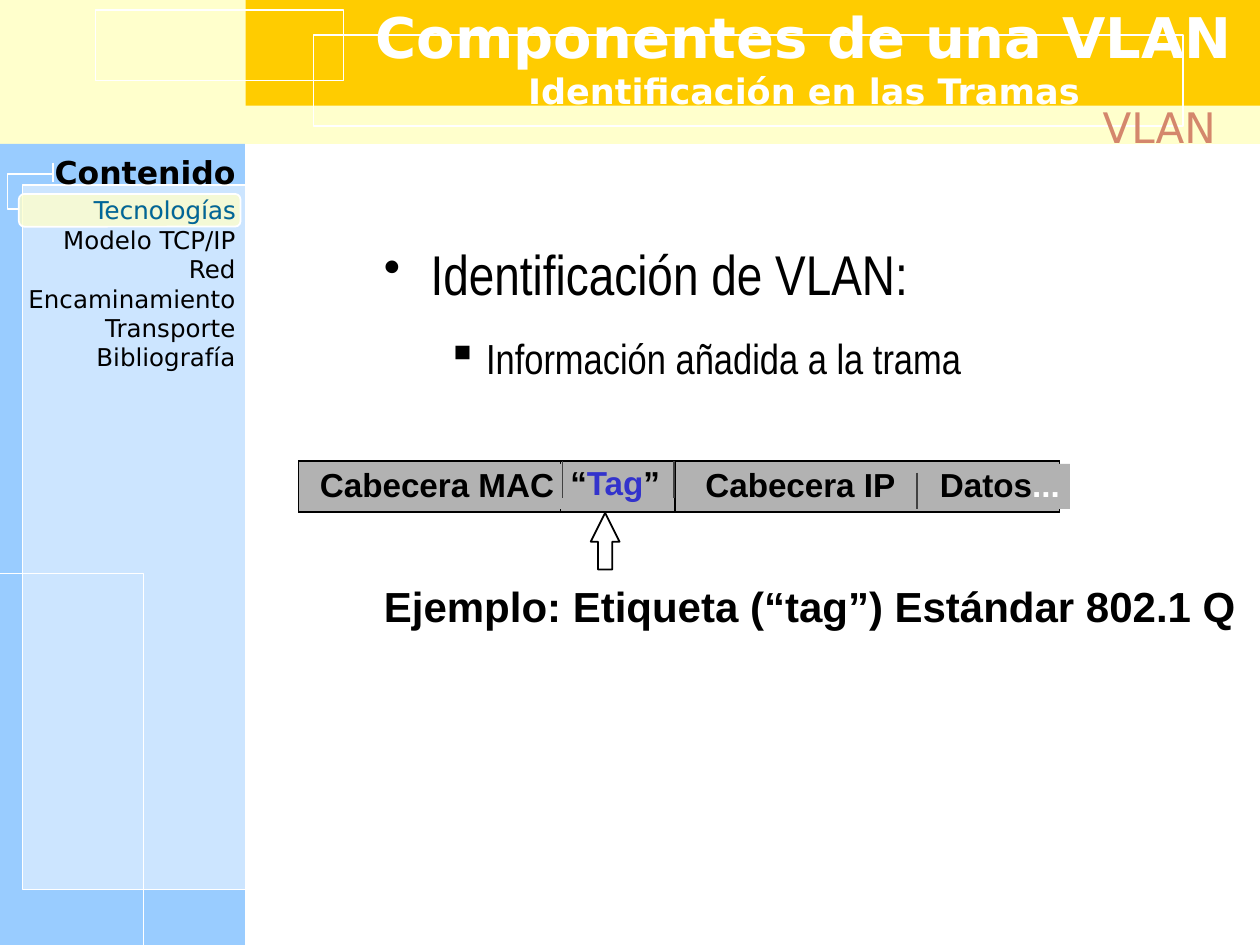
"""Build the slide on VLAN components and frame identification."""
from lxml import etree
from pptx import Presentation
from pptx.dml.color import RGBColor
from pptx.enum.shapes import MSO_CONNECTOR, MSO_SHAPE
from pptx.enum.text import MSO_ANCHOR, MSO_AUTO_SIZE, PP_ALIGN
from pptx.oxml.ns import qn
from pptx.util import Cm, Pt

RECT, ROUNDED, ARROW = MSO_SHAPE.RECTANGLE, MSO_SHAPE.ROUNDED_RECTANGLE, MSO_SHAPE.UP_ARROW
STRAIGHT = MSO_CONNECTOR.STRAIGHT
LEFT, CENTER, RIGHT = PP_ALIGN.LEFT, PP_ALIGN.CENTER, PP_ALIGN.RIGHT
TOP, BOTTOM = MSO_ANCHOR.TOP, MSO_ANCHOR.BOTTOM
GROW, FIXED = MSO_AUTO_SIZE.SHAPE_TO_FIT_TEXT, MSO_AUTO_SIZE.NONE

WHITE = RGBColor(0xFF, 0xFF, 0xFF)
BLACK = RGBColor(0x00, 0x00, 0x00)
CREAM = RGBColor(0xFF, 0xFF, 0xCC)
GOLD = RGBColor(0xFF, 0xCC, 0x00)
SKY = RGBColor(0x99, 0xCC, 0xFF)
GRAY = RGBColor(0xB2, 0xB2, 0xB2)
DARK = RGBColor(0x41, 0x41, 0x41)
BLUE = RGBColor(0x33, 0x33, 0xCC)
TEAL = RGBColor(0x00, 0x66, 0x99)
CORAL = RGBColor(0xD4, 0x87, 0x6C)

FONTS = {
    "title": {"name": "DejaVu Sans", "size": Pt(32), "bold": True},
    "subtitle": {"name": "DejaVu Sans", "size": Pt(20), "bold": True},
    "heading": {"name": "DejaVu Sans", "size": Pt(18), "bold": True},
    "menu": {"name": "DejaVu Sans", "size": Pt(14), "bold": False},
    "topic": {"name": "DejaVu Sans", "size": Pt(24), "bold": False},
    "point": {"name": "Arial Narrow", "size": Pt(32), "bold": False},
    "subpoint": {"name": "Arial Narrow", "size": Pt(24), "bold": False},
    "field": {"name": "Arial", "size": Pt(19), "bold": True},
    "example": {"name": "Arial", "size": Pt(24), "bold": True},
}

PANELS = [
    ((0, 0, 25.4, 2.9), CREAM, None, 0, 100),
    ((4.95, 0, 20.45, 2.13), GOLD, None, 0, 100),
    ((6.32, 0.71, 17.53, 1.83), None, WHITE, 1, 100),
    ((1.93, 0.2, 5, 1.42), None, WHITE, 0.75, 100),
    ((0, 2.9, 4.94, 16.15), SKY, None, 0, 100),
    ((-0.05, 11.56, 2.95, 7.52), None, WHITE, 0.75, 100),
    ((0.46, 3.73, 4.5, 14.2), WHITE, WHITE, 0.75, 50),
]
MENU = ["Tecnologías", "Modelo TCP/IP", "Red", "Encaminamiento", "Transporte", "Bibliografía"]
TITLE = [("Componentes de una VLAN", "title"), ("Identificación en las Tramas", "subtitle")]
POINTS = [
    ("Identificación de VLAN:", "point", "•", 87, 0, 0.94, -0.94, 0),
    ("Información añadida a la trama", "subpoint", "▪", 100, 1, 2.06, -0.79, 15),
]
FRAME_TOP, FRAME_HEIGHT, FIELD_HEIGHT, DIVIDER = 9.3, 1.02, 0.91, 0.73
FRAME_PARTS = [
    ("cell", 6.02, 15.34),
    ("divider", 15.04, 0),
    ("divider", 9.7, 0),
    ("field", 11.3, 2.26, 0.02, [("“", BLACK), ("Tag", BLUE), ("”", BLACK)]),
    ("cell", 6.02, 5.28),
    ("field", 6.25, 5.13, 0.05, [("Cabecera MAC", BLACK)]),
    ("cell", 13.61, 7.75),
    ("field", 14.02, 4.24, 0.05, [("Cabecera IP", BLACK)]),
    ("divider", 11.34, 0),
    ("divider", 13.59, 0),
    ("divider", 18.49, 0.23),
    ("field", 18.75, 2.82, 0.05, [("Datos", BLACK), ("...", WHITE)]),
]
HOOK = [(1.07, 3.51), (0.15, 3.51), (0.15, 4.22), (0.36, 4.22)]

deck = Presentation()
deck.slide_width, deck.slide_height = Cm(25.4), Cm(19.05)
page = deck.slides.add_slide(deck.slide_layouts[6])


def paint(box, fill=None, line=None, width=1, opacity=100):
    box.shadow.inherit = False
    if fill is None:
        box.fill.background()
    else:
        box.fill.solid()
        box.fill.fore_color.rgb = fill
        if opacity < 100:
            color = box.fill._xPr.find(".//" + qn("a:srgbClr"))
            etree.SubElement(color, qn("a:alpha"), val=str(opacity * 1000))
    if line is None:
        box.line.fill.background()
    else:
        box.line.color.rgb = line
        box.line.width = Pt(width)


def add_block(place, fill=None, line=None, width=1, opacity=100, kind=RECT, adjust=()):
    box = page.shapes.add_shape(kind, *map(Cm, place))
    paint(box, fill, line, width, opacity)
    for index, value in enumerate(adjust):
        box.adjustments[index] = value
    return box


def add_rule(left, top, length, color, width):
    rule = page.shapes.add_connector(STRAIGHT, Cm(left), Cm(top), Cm(left), Cm(top + length))
    rule.line.color.rgb, rule.line.width = color, Pt(width)
    etree.SubElement(rule._element.spPr, qn("a:effectLst"))


def set_frame(box, margins=(0.25, 0.13, 0.25, 0.13), wrap=True, anchor=TOP, size=FIXED):
    frame = box.text_frame
    sides = ("margin_left", "margin_top", "margin_right", "margin_bottom")
    values = dict(zip(sides, map(Cm, margins)))
    values.update(word_wrap=wrap, vertical_anchor=anchor, auto_size=size)
    for name, value in values.items():
        setattr(frame, name, value)
    return frame


def add_span(para, text, font, color):
    span = para.add_run()
    span.text = text
    for name, value in FONTS[font].items():
        setattr(span.font, name, value)
    span.font.color.rgb = color


def write(frame, lines, font, color, align=LEFT, spacing=None):
    for index, text in enumerate(lines):
        para = frame.add_paragraph() if index else frame.paragraphs[0]
        para.alignment, para.line_spacing = align, spacing
        add_span(para, text, font, color)


def add_text(place, lines, font, color, align=LEFT, spacing=None, **layout):
    box = page.shapes.add_textbox(*map(Cm, place))
    write(set_frame(box, **layout), lines, font, color, align, spacing)


def add_title():
    box = page.shapes.add_textbox(Cm(6.1), Cm(-1.02), Cm(20.22), Cm(3.35))
    para = set_frame(box, (0.2, 0.08, 0.2, 0.08), anchor=BOTTOM).paragraphs[0]
    para.alignment = CENTER
    for index, (text, font) in enumerate(TITLE):
        if index:
            para.add_line_break()
        add_span(para, text, font, WHITE)


def add_points():
    box = page.shapes.add_textbox(Cm(7.49), Cm(3.12), Cm(17.91), Cm(5.64))
    frame = set_frame(box, (0.25, 1.7, 0.25, 0.13))
    for index, (text, font, mark, scale, level, margin, indent, before) in enumerate(POINTS):
        para = frame.add_paragraph() if index else frame.paragraphs[0]
        para.level, para.space_before = level, Pt(before)
        add_span(para, text, font, BLACK)
        props = para._p.get_or_add_pPr()
        props.set("marL", str(Cm(margin)))
        props.set("indent", str(Cm(indent)))
        etree.SubElement(props, qn("a:buSzPct"), val=str(scale * 1000))
        etree.SubElement(props, qn("a:buChar"), char=mark)


def add_vlan_frame():
    for kind, left, *rest in FRAME_PARTS:
        if kind == "cell":
            add_block((left, FRAME_TOP, rest[0], FRAME_HEIGHT), GRAY, BLACK)
        elif kind == "divider":
            add_rule(left, FRAME_TOP + rest[0], DIVIDER, DARK, 1)
        else:
            width, drop, spans = rest
            box = add_block((left, FRAME_TOP + drop, width, FIELD_HEIGHT), GRAY)
            para = set_frame(box, (0.2, 0.1, 0.2, 0.1), wrap=False, size=GROW).paragraphs[0]
            para.alignment, para.line_spacing = LEFT, 0.9
            for text, color in spans:
                add_span(para, text, "field", color)


for panel in PANELS:
    add_block(*panel)
add_text((0, 3.81, 5, 3.84), MENU, "menu", BLACK, RIGHT, size=GROW)
add_text((0, 2.95, 5, 1.02), ["Contenido"], "heading", BLACK, RIGHT, size=GROW)
add_rule(1.07, 3.28, 0.38, WHITE, 0.75)
add_title()
add_points()
add_vlan_frame()
add_text((7.49, 11.68, 17.7, 2.08), ["Ejemplo: Etiqueta (“tag”) Estándar 802.1 Q"],
         "example", BLACK, spacing=0.9, wrap=False)
add_block((11.91, 10.34, 0.58, 1.14), WHITE, BLACK, kind=ARROW, adjust=(0.5, 1))
add_text((4.95, 1.91, 19.81, 1.45), ["VLAN"], "topic", CORAL, RIGHT)
add_block((0.38, 3.91, 4.47, 0.66), CREAM, WHITE, 1, 80, ROUNDED, (0.17,))
add_text((0.36, 3.81, 4.65, 0.86), MENU[:1], "menu", TEAL, RIGHT, size=GROW)
corners = [(Cm(x), Cm(y)) for x, y in HOOK]
outline = page.shapes.build_freeform(*corners[0])
outline.add_line_segments(corners[1:], close=False)
paint(outline.convert_to_shape(), line=WHITE)

deck.save("out.pptx")
